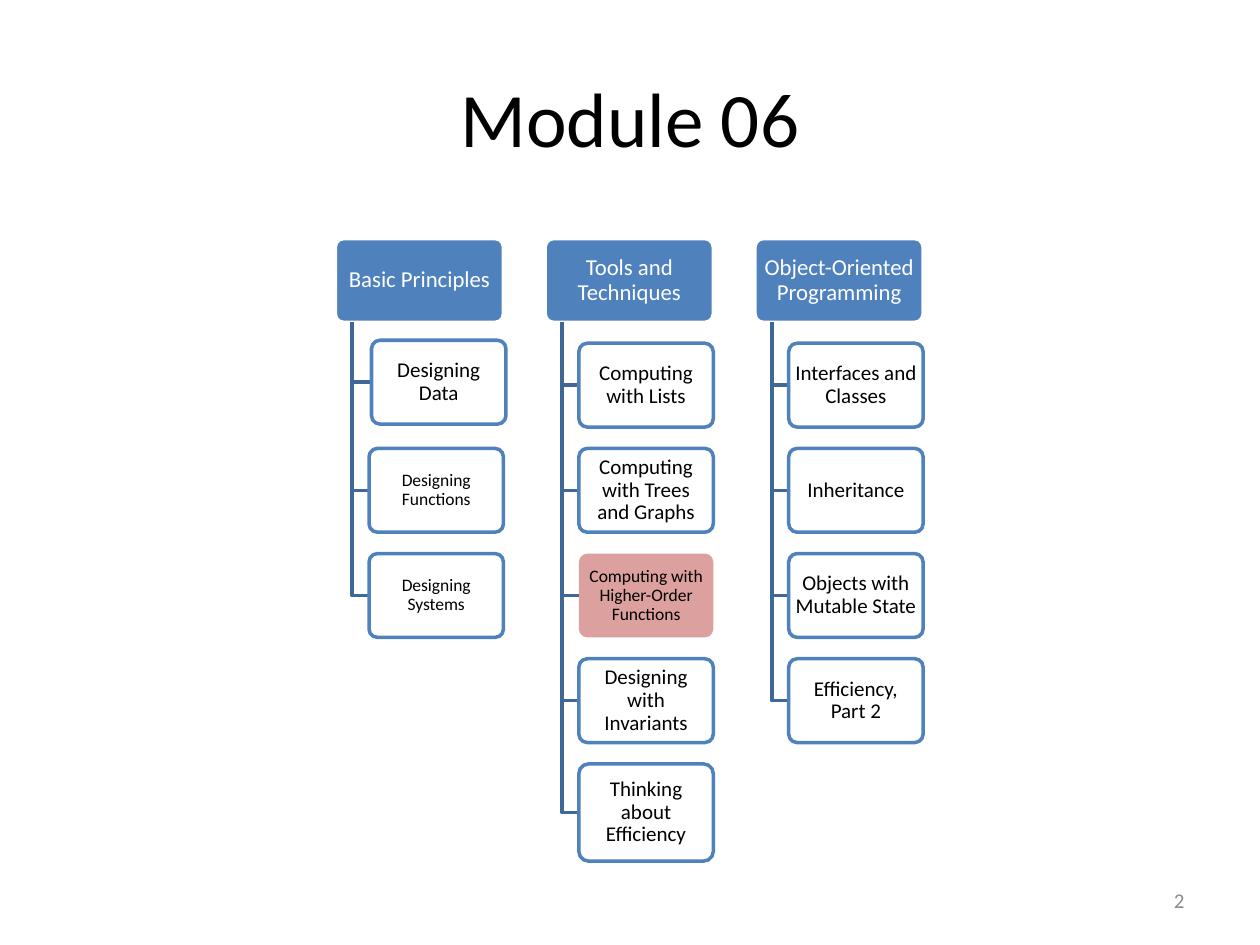
from dataclasses import dataclass

from lxml.etree import SubElement
from pptx import Presentation
from pptx.dml.color import RGBColor
from pptx.enum.shapes import MSO_SHAPE
from pptx.enum.text import MSO_ANCHOR, PP_ALIGN
from pptx.oxml.ns import qn
from pptx.util import Cm, Pt


@dataclass(frozen=True)
class Theme:
    """Colours and type sizes of the slide."""
    font: str = "Calibri"
    black: RGBColor = RGBColor(0x00, 0x00, 0x00)
    white: RGBColor = RGBColor(0xFF, 0xFF, 0xFF)
    grey: RGBColor = RGBColor(0x8C, 0x8C, 0x8C)
    blue: RGBColor = RGBColor(0x4F, 0x81, 0xBD)
    branch: RGBColor = RGBColor(0x3F, 0x67, 0x97)
    current: RGBColor = RGBColor(0xD9, 0x96, 0x94)
    title: int = 44
    heading: int = 13
    topic: int = 12
    small: int = 10
    number: int = 12
    line: int = 2


@dataclass(frozen=True)
class Topic:
    """One topic with its departures from the regular grid, in cm."""
    label: str
    size: int = Theme.topic
    current: bool = False
    dx: float = 0
    dy: float = 0
    height: float = 1.69


THEME = Theme()
COLUMN_LEFT, COLUMN_PITCH = 6.76, 4.23
HEADING_TOP, HEADING_WIDTH, HEADING_HEIGHT = 4.81, 3.39, 1.69
TOPIC_TOP, TOPIC_PITCH, TOPIC_WIDTH = 6.92, 2.12, 2.71
SPINE_INDENT, TOPIC_INDENT = 0.34, 0.68

COLUMNS = {
    "Basic Principles": [
        Topic("Designing Data", dx=0.05, dy=-0.06),
        Topic("Designing Functions", THEME.small),
        Topic("Designing Systems", THEME.small),
    ],
    "Tools and Techniques": [
        Topic("Computing with Lists"),
        Topic("Computing with Trees and Graphs"),
        Topic("Computing with Higher-Order Functions", THEME.small, current=True),
        Topic("Designing with Invariants"),
        Topic("Thinking about Efficiency", height=1.96),
    ],
    "Object-Oriented Programming": [
        Topic("Interfaces and Classes"),
        Topic("Inheritance"),
        Topic("Objects with Mutable State"),
        Topic("Efficiency, Part 2"),
    ],
}


def set_text(frame, text, size, color, align=PP_ALIGN.CENTER):
    """Fill a text frame with one formatted, vertically centred paragraph."""
    frame.text = text
    frame.word_wrap = True
    frame.vertical_anchor = MSO_ANCHOR.MIDDLE
    paragraph = frame.paragraphs[0]
    paragraph.alignment = align
    font = paragraph.runs[0].font
    font.name, font.size, font.color.rgb = THEME.font, Pt(size), color


def add_box(slide, bounds, text, size, fill, text_color, outline=None, alpha=100):
    """Add a rounded box with centred text."""
    box = slide.shapes.add_shape(
        MSO_SHAPE.ROUNDED_RECTANGLE, *(Cm(length) for length in bounds))
    box.shadow.inherit = False
    box.adjustments[0] = 0.1
    box.fill.solid()
    box.fill.fore_color.rgb = fill
    if alpha < 100:
        fill_color = next(box.fill._xPr.iter(qn("a:srgbClr")))
        SubElement(fill_color, qn("a:alpha"), val=str(alpha * 1000))
    if outline is None:
        box.line.fill.background()
    else:
        box.line.color.rgb = outline
        box.line.width = Pt(THEME.line)
    frame = box.text_frame
    tight = size == THEME.small
    frame.margin_left = frame.margin_right = Cm(0.05 if tight else 0.07)
    frame.margin_top = frame.margin_bottom = Cm(0.03 if tight else 0.05)
    set_text(frame, text, size, text_color)
    frame.paragraphs[0].line_spacing = 0.9


def add_branch(slide, spine, top, topic_left, middle):
    """Add the elbow line from a heading down and across to a topic."""
    builder = slide.shapes.build_freeform(Cm(spine), Cm(top))
    builder.add_line_segments(
        [(Cm(spine), Cm(middle)), (Cm(topic_left), Cm(middle))], close=False)
    branch = builder.convert_to_shape()
    branch.shadow.inherit = False
    branch.fill.background()
    branch.line.color.rgb = THEME.branch
    branch.line.width = Pt(THEME.line)


def add_column(slide, left, heading, topics):
    """Add a heading with its topics hanging below it."""
    add_box(slide, (left, HEADING_TOP, HEADING_WIDTH, HEADING_HEIGHT), heading,
            THEME.heading, THEME.blue, THEME.white, THEME.white)
    for row, topic in enumerate(topics):
        topic_left = left + TOPIC_INDENT + topic.dx
        topic_top = TOPIC_TOP + row * TOPIC_PITCH + topic.dy
        add_branch(slide, left + SPINE_INDENT, HEADING_TOP + HEADING_HEIGHT,
                   topic_left, topic_top + topic.height / 2)
        add_box(slide, (topic_left, topic_top, TOPIC_WIDTH, topic.height),
                topic.label, topic.size,
                THEME.current if topic.current else THEME.white, THEME.black,
                None if topic.current else THEME.blue, alpha=90)


def add_title(slide, text):
    """Place and format the title placeholder."""
    title = slide.shapes.title
    title.left, title.top = Cm(1.27), Cm(0.76)
    title.width, title.height = Cm(22.86), Cm(3.18)
    set_text(title.text_frame, text, THEME.title, THEME.black)


def add_slide_number(slide, number):
    """Add the slide number at the lower right."""
    corner = slide.shapes.add_textbox(Cm(18.2), Cm(17.65), Cm(5.93), Cm(1.01))
    set_text(corner.text_frame, number, THEME.number, THEME.grey, PP_ALIGN.RIGHT)


def main():
    """Build and save the slide."""
    deck = Presentation()
    deck.slide_width, deck.slide_height = Cm(25.4), Cm(19.05)
    slide = deck.slides.add_slide(deck.slide_layouts[5])
    add_title(slide, "Module 06")
    add_slide_number(slide, "2")
    for index, (heading, topics) in enumerate(COLUMNS.items()):
        add_column(slide, COLUMN_LEFT + index * COLUMN_PITCH, heading, topics)
    deck.save("out.pptx")


if __name__ == "__main__":
    main()
